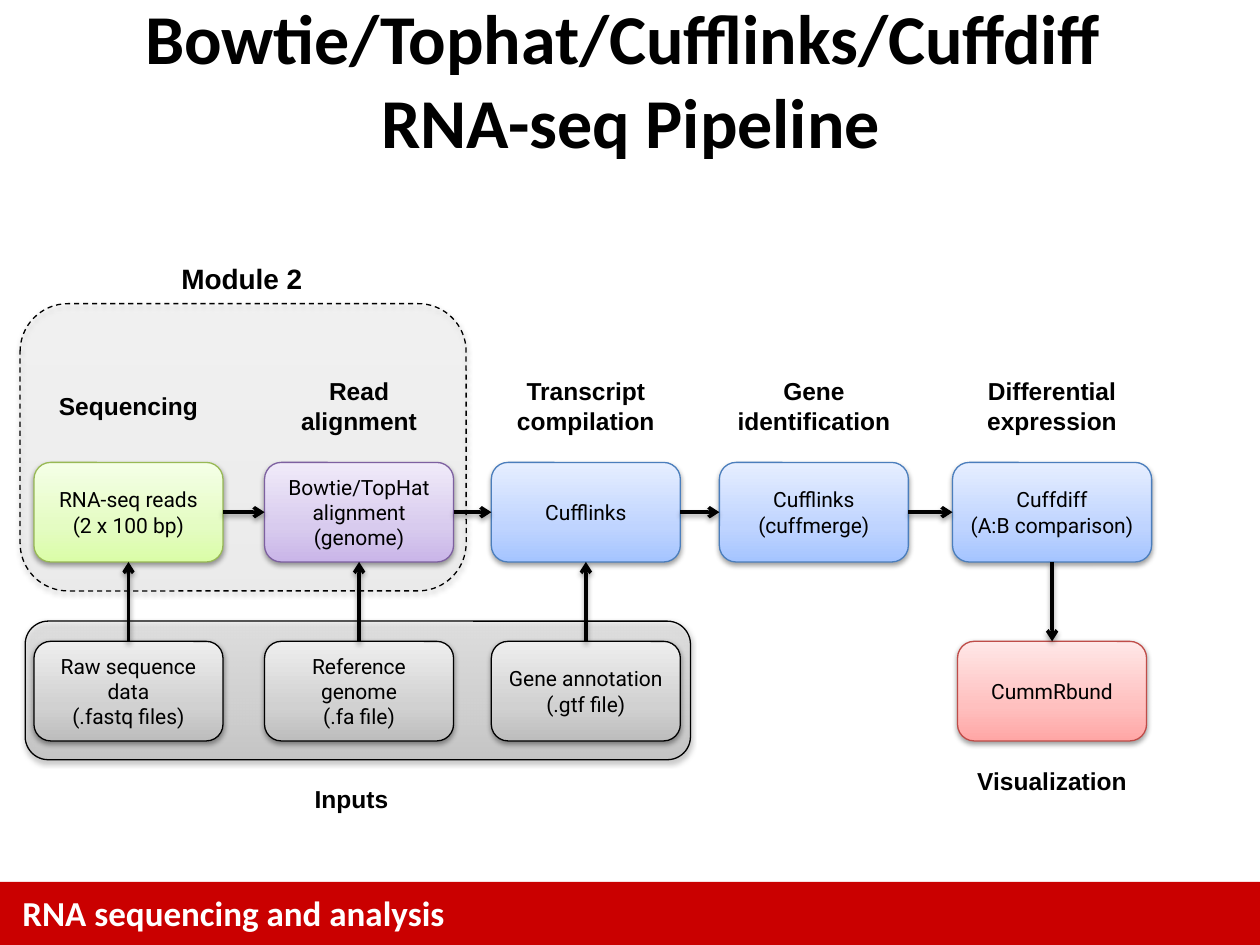
from lxml import etree
from pptx import Presentation, util as u
from pptx.dml.color import RGBColor
from pptx.enum import dml, shapes, text
from pptx.oxml import ns

BLACK = RGBColor(0, 0, 0)
WHITE = RGBColor(255, 255, 255)
RED = RGBColor(0xCA, 0, 0)
GREEN_LINE = RGBColor(0x98, 0xB9, 0x55)
PURPLE_LINE = RGBColor(0x7D, 0x60, 0xA0)
BLUE_LINE = RGBColor(0x4B, 0x7E, 0xBC)
ROSE_LINE = RGBColor(0xBF, 0x4C, 0x48)


def shades(*codes):
    return [RGBColor.from_string(c) for c in codes]


# Gradient colours from the bottom of a box to its top
GRAY = shades("BDBDBD", "D1D1D1", "EEEEEE")
GREEN = shades("DAFDA7", "E4FCC2", "F5FFE7")
PURPLE = shades("C9B5E8", "D8CBEE", "F0EAF9")
BLUE = shades("A4C4FF", "BFD4FF", "E6EEFF")
ROSE = shades("FFA6A5", "FFC0BF", "FFE7E7")
STOPS = (0, 35, 100)

WIDTH, HEIGHT = 10, 7.5
CENTERS = (1.02, 2.85, 4.65, 6.46, 8.35)
STEP_TOP, INPUT_TOP = 3.67, 5.09
BOX_W, BOX_H = 1.5, 0.79
LABEL_W, LABEL_H = 1.81, 0.57
LABEL_MIDDLE = 3.22
TOP, LEFT, BOTTOM, RIGHT = range(4)

STEPS = (
    ("Sequencing", "RNA-seq reads (2 x 100 bp)", GREEN, GREEN_LINE, BOX_W),
    ("Read\valignment", "Bowtie/TopHat alignment (genome)", PURPLE, PURPLE_LINE, BOX_W),
    ("Transcript compilation", "Cufflinks", BLUE, BLUE_LINE, BOX_W),
    ("Gene identification", "Cufflinks (cuffmerge)", BLUE, BLUE_LINE, BOX_W),
    ("Differential expression", "Cuffdiff\n(A:B comparison)", BLUE, BLUE_LINE, 1.58),
)
INPUTS = (
    "Raw sequence data\n(.fastq files)",
    "Reference genome\n(.fa file)",
    "Gene annotation\n(.gtf file)",
)


def inches(*lengths):
    return [u.Inches(n) for n in lengths]


def write(tf, words, size, font, color=BLACK, bold=False, align=text.PP_ALIGN.CENTER):
    """Fill a text frame; a newline starts a paragraph, \\v breaks a line."""
    tf.word_wrap = True
    tf.vertical_anchor = text.MSO_ANCHOR.MIDDLE
    for i, line in enumerate(words.split("\n")):
        p = tf.paragraphs[0] if i == 0 else tf.add_paragraph()
        p.text = line
        p.alignment = align
        for r in p.runs:
            r.font.size = u.Pt(size)
            r.font.name = font
            r.font.color.rgb = color
            r.font.bold = bold


def add_text(s, at, words, **style):
    write(s.shapes.add_textbox(*inches(*at)).text_frame, words, **style)


def add_label(s, center, middle, words, size=14):
    at = (center - LABEL_W / 2, middle - LABEL_H / 2, LABEL_W, LABEL_H)
    add_text(s, at, words, size=size, font="Arial", bold=True)


def add_shadow(sp_pr):
    """Append a soft shadow straight below; the line must be set already."""
    effects = etree.SubElement(sp_pr, ns.qn("a:effectLst"))
    shadow = etree.SubElement(
        effects, ns.qn("a:outerShdw"), blurRad=str(u.Pt(3.1)), dist=str(u.Pt(1.6)),
        dir="5400000", rotWithShape="0")
    color = etree.SubElement(shadow, ns.qn("a:srgbClr"), val=str(BLACK))
    etree.SubElement(color, ns.qn("a:alpha"), val="38000")


def fill_gradient(sp, colors, opacity):
    sp.fill.gradient()
    sp.fill.gradient_angle = 90
    stops = sp._element.spPr.find(ns.qn("a:gradFill")).find(ns.qn("a:gsLst"))
    for old in list(stops):
        stops.remove(old)
    for position, color in zip(STOPS, colors):
        stop = etree.SubElement(stops, ns.qn("a:gs"), pos=str(position * 1000))
        rgb = etree.SubElement(stop, ns.qn("a:srgbClr"), val=str(color))
        if opacity < 100:
            etree.SubElement(rgb, ns.qn("a:alpha"), val=str(opacity * 1000))


def add_panel(s, at, colors, line, opacity=100, dashed=False):
    sp = s.shapes.add_shape(shapes.MSO_SHAPE.ROUNDED_RECTANGLE, *inches(*at))
    fill_gradient(sp, colors, opacity)
    sp.line.color.rgb = line
    sp.line.width = u.Pt(0.75)
    if dashed:
        sp.line.dash_style = dml.MSO_LINE.DASH
    add_shadow(sp._element.spPr)
    return sp


def add_box(s, center, top, words, colors, line, width=BOX_W):
    sp = add_panel(s, (center - width / 2, top, width, BOX_H), colors, line)
    write(sp.text_frame, words, size=12, font="Roboto")
    return sp


def add_arrow(s, start, start_side, end, end_side):
    c = s.shapes.add_connector(shapes.MSO_CONNECTOR.STRAIGHT, 0, 0, 0, 0)
    c.begin_connect(start, start_side)
    c.end_connect(end, end_side)
    c.line.color.rgb = BLACK
    c.line.width = u.Pt(2)
    etree.SubElement(c.line._get_or_add_ln(), ns.qn("a:tailEnd"), type="arrow")
    add_shadow(c._element.spPr)


def add_footer(s):
    band = s.shapes.add_shape(
        shapes.MSO_SHAPE.RECTANGLE, *inches(0, HEIGHT - 0.5, WIDTH, 0.5))
    band.shadow.inherit = False
    band.fill.solid()
    band.fill.fore_color.rgb = RED
    band.line.fill.background()
    add_text(s, (0.08, 7.03, 7.33, 0.43), "RNA sequencing and analysis",
             align=text.PP_ALIGN.LEFT, size=20, font="Calibri", color=WHITE, bold=True)


def add_pipeline(s):
    steps = []
    for center, (label, words, colors, line, width) in zip(CENTERS, STEPS):
        steps.append(add_box(s, center, STEP_TOP, words, colors, line, width))
        add_label(s, center, LABEL_MIDDLE, label)
    for before, after in zip(steps, steps[1:]):
        add_arrow(s, before, RIGHT, after, LEFT)
    for center, words, step in zip(CENTERS, INPUTS, steps):
        source = add_box(s, center, INPUT_TOP, words, GRAY, BLACK)
        add_arrow(s, source, TOP, step, BOTTOM)
    plots = add_box(s, CENTERS[-1], INPUT_TOP, "CummRbund", ROSE, ROSE_LINE)
    add_arrow(s, steps[-1], BOTTOM, plots, TOP)
    add_label(s, CENTERS[-1], 6.2, "Visualization")


def main():
    prs = Presentation()
    prs.slide_width, prs.slide_height = inches(WIDTH, HEIGHT)
    s = prs.slides.add_slide(prs.slide_layouts[6])
    add_footer(s)
    add_panel(s, (0.16, 2.41, 3.54, 2.28), GRAY, BLACK, opacity=13, dashed=True)
    add_panel(s, (0.2, 4.93, 5.28, 1.1), GRAY, BLACK, opacity=51)
    add_text(s, (0.17, 0, 9.67, 1.25),
             "Bowtie/Tophat/Cufflinks/Cuffdiff \vRNA-seq Pipeline",
             size=40, font="Calibri", bold=True)
    add_pipeline(s)
    add_label(s, 2.79, 6.34, "Inputs")
    add_label(s, 1.92, 2.21, "Module 2", size=16)
    prs.save("out.pptx")


if __name__ == "__main__":
    main()
